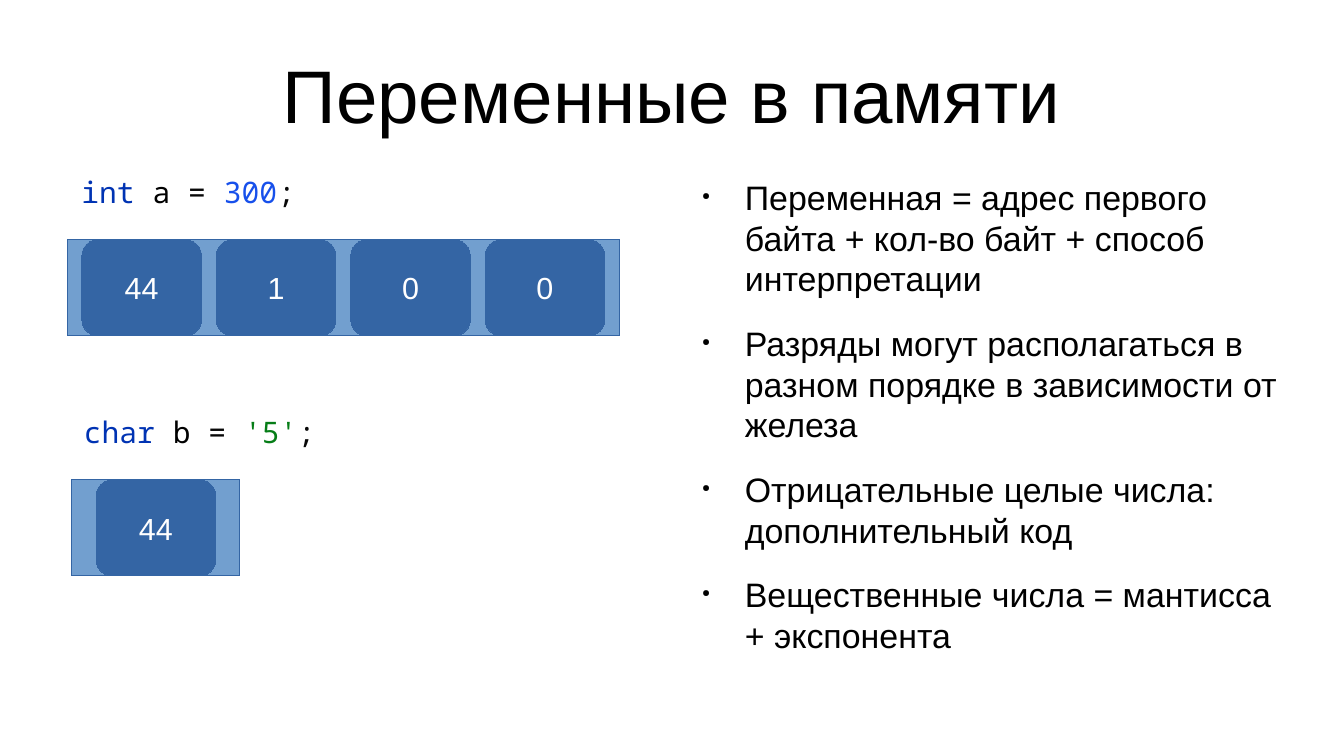
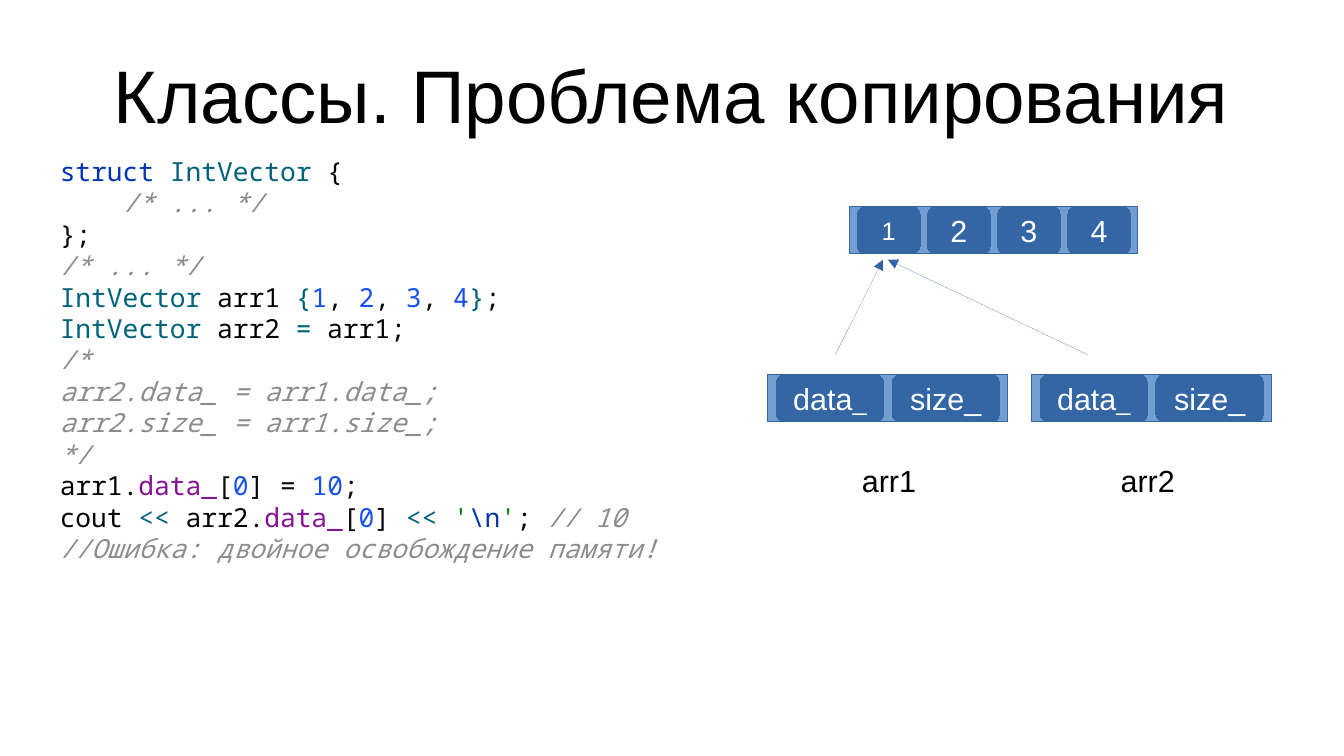
import dataclasses

import pptx
import pptx.dml.color
import pptx.enum.shapes
import pptx.enum.text
import pptx.oxml
import pptx.oxml.ns
import pptx.util

Pt = pptx.util.Pt


@dataclasses.dataclass(frozen=True)
class Theme:
    text_font: str = "Arial"
    code_font: str = "Noto Sans Mono"
    title_size: float = 44
    body_size: float = 20
    cell_size: float = 18
    small_size: float = 15
    snippet_size: float = 17.5
    listing_size: float = 15.5
    line_ratio: float = 1.2
    hairline: float = 0.01
    black: str = "000000"
    white: str = "FFFFFF"
    memory: str = "729FCF"
    cell: str = "3465A4"


THEME = Theme()
CODE_COLORS = {
    "keyword": "0033B3",
    "type": "00627A",
    "name": "000000",
    "sign": "080808",
    "number": "1750EB",
    "string": "067D17",
    "escape": "0037A6",
    "field": "871094",
    "comment": "8C8C8C",
}

SLIDE_WIDTH, SLIDE_HEIGHT = 793.5, 446.5
TITLE_BOX = (39.6, 18, 714.3, 74.9)

INTEGER_CODE = [[("keyword", "int "), ("name", "a "), ("sign", "= "),
                 ("number", "300"), ("sign", ";")]]
CHARACTER_CODE = [[("keyword", "char "), ("name", "b "), ("sign", "= "),
                   ("string", "'5'"), ("sign", ";")]]
FACTS = [
    "Переменная = адрес первого байта + кол-во байт + способ интерпретации",
    "Разряды могут располагаться в разном порядке в зависимости от железа",
    "Отрицательные целые числа: дополнительный код",
    "Вещественные числа = мантисса + экспонента",
]
COPY_CODE = [
    [("keyword", "struct "), ("type", "IntVector "), ("sign", "{")],
    [("comment", "/* ... */")],
    [("sign", "};")],
    [("comment", "/* ... */")],
    [("type", "IntVector"), ("name", " arr1 "), ("type", "{"), ("number", "1"),
     ("sign", ", "), ("number", "2"), ("sign", ", "), ("number", "3"),
     ("sign", ", "), ("number", "4"), ("type", "}"), ("sign", ";")],
    [("type", "IntVector"), ("name", " arr2 "), ("type", "= "),
     ("name", "arr1"), ("sign", ";")],
    [("comment", "/*")],
    [("comment", "arr2.data_ = arr1.data_;")],
    [("comment", "arr2.size_ = arr1.size_;")],
    [("comment", "*/")],
    [("name", "arr1"), ("sign", "."), ("field", "data_"), ("sign", "["),
     ("number", "0"), ("sign", "] = "), ("number", "10"), ("sign", ";")],
    [("name", "cout "), ("type", "<< "), ("name", "arr2"), ("sign", "."),
     ("field", "data_"), ("sign", "["), ("number", "0"), ("sign", "] "),
     ("type", "<< "), ("string", "'"), ("escape", "\\n"), ("string", "'"),
     ("sign", "; "), ("comment", "// 10")],
    [("comment", "//Ошибка: двойное освобождение памяти!")],
]
INDENTED_LINES = {1}
VECTOR_CELLS = [[("data", THEME.cell_size), ("_", THEME.small_size)],
                [("size_", THEME.cell_size)]]


def rgb(value):
    return pptx.dml.color.RGBColor.from_string(value)


def points(box):
    return [Pt(length) for length in box]


def format_run(run, size, color=THEME.black, font=THEME.text_font):
    run.font.name = font
    run.font.size = Pt(size)
    run.font.color.rgb = rgb(color)


def set_indent(paragraph, left, first=0):
    properties = paragraph._p.get_or_add_pPr()
    properties.set("marL", str(Pt(left)))
    properties.set("indent", str(Pt(first)))
    return properties


def add_bullet(paragraph):
    properties = set_indent(paragraph, 33.8, -25.2)
    namespace = pptx.oxml.ns.nsdecls("a")
    for markup in (
        f'<a:buClr {namespace}><a:srgbClr val="{THEME.black}"/></a:buClr>',
        f'<a:buSzPct {namespace} val="30000"/>',
        f'<a:buChar {namespace} char="●"/>',
    ):
        properties.append(pptx.oxml.parse_xml(markup))


def set_margins(text_frame, horizontal, vertical):
    text_frame.margin_left = text_frame.margin_right = Pt(horizontal)
    text_frame.margin_top = text_frame.margin_bottom = Pt(vertical)


def add_text_frame(slide, box, horizontal=7.2, vertical=3.6):
    text_frame = slide.shapes.add_textbox(*points(box)).text_frame
    text_frame.word_wrap = True
    set_margins(text_frame, horizontal, vertical)
    return text_frame


def add_titled_slide(presentation, title):
    slide = presentation.slides.add_slide(presentation.slide_layouts[5])
    shape = slide.shapes.title
    shape.left, shape.top, shape.width, shape.height = points(TITLE_BOX)
    text_frame = shape.text_frame
    text_frame.text = title
    set_margins(text_frame, 0, 0)
    text_frame.vertical_anchor = pptx.enum.text.MSO_ANCHOR.MIDDLE
    paragraph = text_frame.paragraphs[0]
    paragraph.alignment = pptx.enum.text.PP_ALIGN.CENTER
    format_run(paragraph.runs[0], THEME.title_size)
    return slide


def add_code(slide, box, lines, size, indented=()):
    text_frame = add_text_frame(slide, box)
    for index, tokens in enumerate(lines):
        paragraph = text_frame.paragraphs[0] if index == 0 else text_frame.add_paragraph()
        paragraph.line_spacing = Pt(size * THEME.line_ratio)
        if index in indented:
            set_indent(paragraph, 4 * 0.6 * size)
        for kind, text in tokens:
            run = paragraph.add_run()
            run.text = text
            format_run(run, size, CODE_COLORS[kind], THEME.code_font)
            run.font.italic = kind == "comment"


def add_fact_list(slide, box, facts):
    text_frame = add_text_frame(slide, box, 0, 0)
    text_frame.text = "\n".join(facts)
    for index, paragraph in enumerate(text_frame.paragraphs):
        paragraph.line_spacing = Pt(THEME.body_size * THEME.line_ratio)
        paragraph.space_before = Pt(14.2 if index else 0)
        add_bullet(paragraph)
        format_run(paragraph.runs[0], THEME.body_size)


def set_hairline(line):
    line.color.rgb = rgb(THEME.cell)
    line.width = Pt(THEME.hairline)


def add_block(group, kind, box, fill):
    shape = group.shapes.add_shape(kind, *points(box))
    shape.shadow.inherit = False
    shape.fill.solid()
    shape.fill.fore_color.rgb = rgb(fill)
    set_hairline(shape.line)
    return shape


def add_memory_row(slide, box, cell_width, cells):
    left, top, width, height = box
    gap = (width - len(cells) * cell_width) / (len(cells) + 1)
    group = slide.shapes.add_group_shape()
    kinds = pptx.enum.shapes.MSO_SHAPE
    add_block(group, kinds.RECTANGLE, box, THEME.memory)
    for index, pieces in enumerate(cells):
        cell_left = left + gap + index * (cell_width + gap)
        shape = add_block(group, kinds.ROUNDED_RECTANGLE,
                          (cell_left, top, cell_width, height), THEME.cell)
        text_frame = shape.text_frame
        text_frame.word_wrap = True
        set_margins(text_frame, 7.2, 3.6)
        text_frame.vertical_anchor = pptx.enum.text.MSO_ANCHOR.MIDDLE
        paragraph = text_frame.paragraphs[0]
        paragraph.alignment = pptx.enum.text.PP_ALIGN.CENTER
        for text, size in pieces:
            run = paragraph.add_run()
            run.text = text
            format_run(run, size, THEME.white)


def add_pointer(slide, start, end):
    connector = slide.shapes.add_connector(
        pptx.enum.shapes.MSO_CONNECTOR.STRAIGHT, *points(start + end))
    set_hairline(connector.line)
    namespace = pptx.oxml.ns.nsdecls("a")
    connector.line._get_or_add_ln().append(
        pptx.oxml.parse_xml(f'<a:tailEnd {namespace} type="triangle"/>'))
    connector._element.spPr.append(pptx.oxml.parse_xml(f"<a:effectLst {namespace}/>"))


def add_label(slide, box, text):
    text_frame = add_text_frame(slide, box)
    text_frame.text = text
    format_run(text_frame.paragraphs[0].runs[0], THEME.cell_size)


def add_variable(slide, code_box, code, row_box, values):
    add_code(slide, code_box, code, THEME.snippet_size)
    add_memory_row(slide, row_box, 70.6, [[(value, THEME.cell_size)] for value in values])


def add_vector(slide, box, label_left, name, pointer_start, pointer_end):
    add_memory_row(slide, box, 63.4, VECTOR_CELLS)
    add_label(slide, (label_left, box[1] + 48.2, 60, 27.4), name)
    add_pointer(slide, pointer_start, pointer_end)


def build_variables_slide(presentation):
    slide = add_titled_slide(presentation, "Переменные в памяти")
    add_fact_list(slide, (406, 104.4, 348.5, 259.2), FACTS)
    add_variable(slide, (41, 99.4, 150, 33.8), INTEGER_CODE,
                 (39.6, 141.6, 326.2, 56.8), ["44", "1", "0", "0"])
    add_variable(slide, (42.4, 241.2, 160, 33.8), CHARACTER_CODE,
                 (42.4, 283.4, 99.3, 56.8), ["44"])


def build_copy_slide(presentation):
    slide = add_titled_slide(presentation, "Классы. Проблема копирования")
    add_code(slide, (28.2, 87.9, 425.5, 353.5), COPY_CODE,
             THEME.listing_size, INDENTED_LINES)
    sizes = [THEME.small_size] + [THEME.cell_size] * 3
    add_memory_row(slide, (501.8, 121.8, 170, 28.2), 37,
                   [[(str(number), size)] for number, size in enumerate(sizes, 1)])
    add_vector(slide, (453.3, 221, 141.8, 28.2), 501.8, "arr1",
               (493.2, 209.5), (521.3, 153.4))
    add_vector(slide, (609.1, 221, 141.8, 28.2), 654.5, "arr2",
               (642.2, 209.5), (524.2, 153.4))


def main():
    presentation = pptx.Presentation()
    presentation.slide_width = Pt(SLIDE_WIDTH)
    presentation.slide_height = Pt(SLIDE_HEIGHT)
    build_variables_slide(presentation)
    build_copy_slide(presentation)
    presentation.save("out.pptx")


if __name__ == "__main__":
    main()
